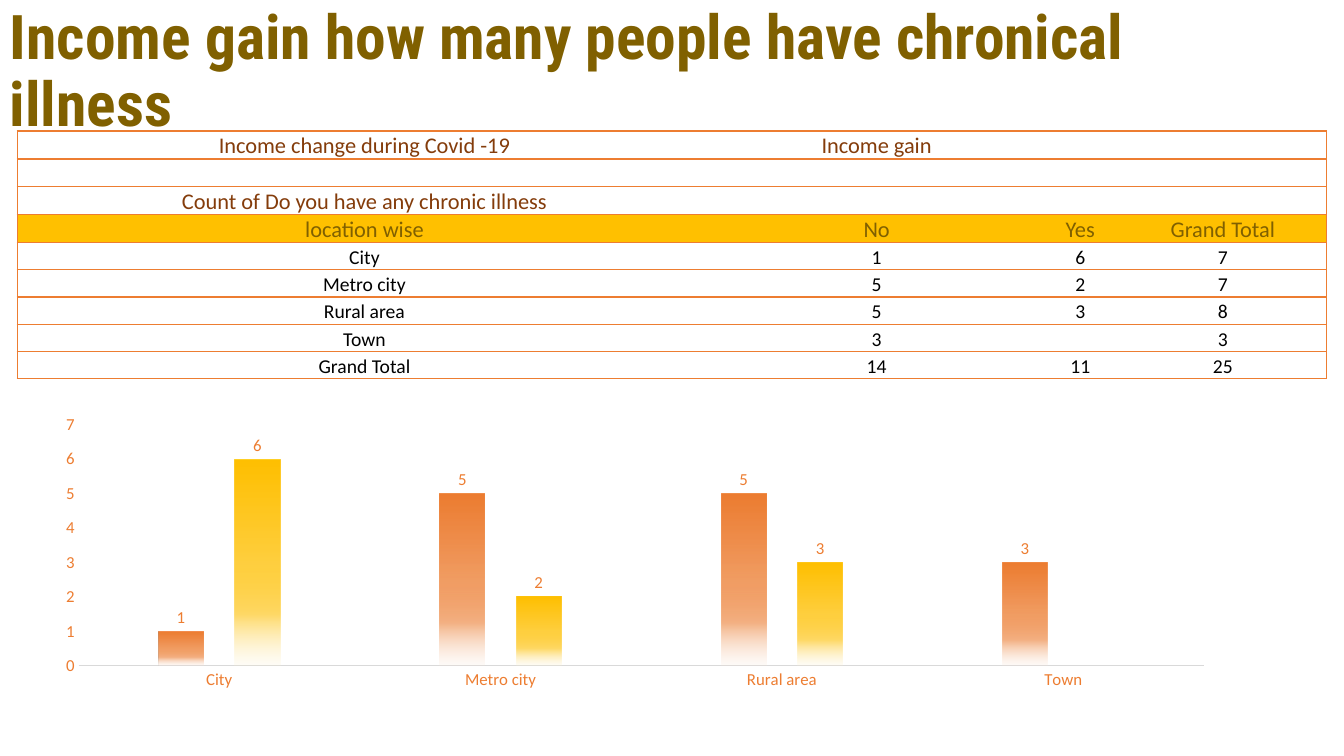
from dataclasses import dataclass
from typing import Optional

from lxml.etree import SubElement
from pptx import Presentation
from pptx.chart.data import CategoryChartData
from pptx.dml.color import RGBColor
from pptx.enum.chart import XL_CHART_TYPE as ChartType
from pptx.enum.chart import XL_LABEL_POSITION as LabelPosition
from pptx.enum.chart import XL_TICK_MARK as TickMark
from pptx.enum.text import MSO_ANCHOR as Anchor
from pptx.enum.text import PP_ALIGN as Align
from pptx.oxml import parse_xml
from pptx.oxml.ns import nsdecls, qn
from pptx.util import Emu, Pt

EMU_PER_PX = 9144  # 100 px to the inch
ORANGE, GOLD, WHITE = "ED7D31", "FFC000", "FFFFFF"
OLIVE, BROWN, BLACK, GREY = "806000", "843C0B", "000000", "D9D9D9"
CATEGORIES = ["City", "Metro city", "Rural area", "Town"]
COLUMN_WIDTHS = [689, 327, 77, 206]
ROW_HEIGHT = 27


@dataclass
class RowStyle:
    size: int
    color: str
    fill: str


@dataclass
class IllnessSeries:
    name: str
    values: list[Optional[int]]
    base: str
    light: str
    pale: str


HEADING = RowStyle(16, BROWN, WHITE)
LABELS = RowStyle(16, OLIVE, GOLD)
BODY = RowStyle(14, BLACK, WHITE)

TABLE_ROWS: list[tuple[RowStyle, list[str]]] = [
    (HEADING, ["Income change during Covid -19", "Income gain", "", ""]),
    (HEADING, ["", "", "", ""]),
    (HEADING, ["Count of Do you have any chronic illness", "", "", ""]),
    (LABELS, ["location wise", "No", "Yes", "Grand Total"]),
    (BODY, ["City", "1", "6", "7"]),
    (BODY, ["Metro city", "5", "2", "7"]),
    (BODY, ["Rural area", "5", "3", "8"]),
    (BODY, ["Town", "3", "", "3"]),
    (BODY, ["Grand Total", "14", "11", "25"]),
]
SERIES = [
    IllnessSeries("Series 1", [1, 5, 5, 3], ORANGE, "F4B183", "FBE5D6"),
    IllnessSeries("Series 2", [6, 2, 3, None], GOLD, "FFD966", "FFF2CC"),
]


def px(length: int) -> Emu:
    return Emu(length * EMU_PER_PX)


def rgb(color: str) -> RGBColor:
    return RGBColor.from_string(color)


def style_font(font, size: int, color: str, name: str = "Calibri", bold: bool = False) -> None:
    font.size, font.name, font.bold = Pt(size), name, bold
    font.color.rgb = rgb(color)


def write_text(frame, text: str, *, size: int, color: str, name: str = "Calibri",
               bold: bool = False, align=Align.LEFT, spacing: float = 1.0) -> None:
    paragraph = frame.paragraphs[0]
    paragraph.alignment, paragraph.line_spacing = align, spacing
    if text:
        run = paragraph.add_run()
        run.text = text
        style_font(run.font, size, color, name, bold)
    else:  # keeps an empty cell as low as its row
        SubElement(paragraph._p, qn("a:endParaRPr"), sz=str(size * 100))


def add_border(cell, side: str, color: Optional[str]) -> None:
    line = SubElement(cell._tc.get_or_add_tcPr(), qn(f"a:ln{side}"), w=str(Pt(1)))
    if color:
        fill = SubElement(line, qn("a:solidFill"))
        SubElement(fill, qn("a:srgbClr"), val=color)
    else:
        SubElement(line, qn("a:noFill"))


def add_title(slide) -> None:
    box = slide.shapes.add_textbox(0, 0, px(1150), px(145))
    frame = box.text_frame
    frame.word_wrap, frame.vertical_anchor = True, Anchor.MIDDLE
    write_text(frame, "Income gain how many people have chronical illness", size=44,
               color=OLIVE, name="Roboto Condensed", bold=True, spacing=0.9)


def add_illness_table(slide) -> None:
    last = len(COLUMN_WIDTHS) - 1
    table = slide.shapes.add_table(
        len(TABLE_ROWS), len(COLUMN_WIDTHS), px(17), px(130),
        px(sum(COLUMN_WIDTHS)), px(ROW_HEIGHT * len(TABLE_ROWS))).table
    table.first_row = table.horz_banding = False
    for column, width in zip(table.columns, COLUMN_WIDTHS):
        column.width = px(width)
    for row, (style, texts) in zip(table.rows, TABLE_ROWS):
        row.height = px(ROW_HEIGHT)
        for index, (cell, text) in enumerate(zip(row.cells, texts)):
            cell.margin_left = cell.margin_right = cell.margin_top = px(1)
            cell.margin_bottom = 0
            cell.vertical_anchor = Anchor.BOTTOM
            write_text(cell.text_frame, text, size=style.size, color=style.color,
                       align=Align.CENTER)
            # Horizontal rules everywhere, vertical ones on the outside only
            add_border(cell, "L", ORANGE if index == 0 else None)
            add_border(cell, "R", ORANGE if index == last else None)
            add_border(cell, "T", ORANGE)
            add_border(cell, "B", ORANGE)
            cell.fill.solid()
            cell.fill.fore_color.rgb = rgb(style.fill)


def fade_fill(entry: IllnessSeries):
    stops = [(0, entry.base, 100), (51, entry.base, 75),
             (75, entry.light, 100), (100, entry.pale, 15)]
    stop_xml = "".join(
        f'<a:gs pos="{position * 1000}"><a:srgbClr val="{color}">'
        f'<a:alpha val="{alpha * 1000}"/></a:srgbClr></a:gs>'
        for position, color, alpha in stops)
    return parse_xml(f'<a:gradFill {nsdecls("a")}><a:gsLst>{stop_xml}</a:gsLst>'
                     '<a:lin ang="5400000" scaled="0"/></a:gradFill>')


def place_plot(chart, x: float, y: float, width: float, height: float) -> None:
    plot_area = chart._chartSpace.chart.plotArea
    for layout in plot_area.findall(qn("c:layout")):
        plot_area.remove(layout)
    settings = [("layoutTarget", "inner"), ("xMode", "edge"), ("yMode", "edge"),
                ("x", x), ("y", y), ("w", width), ("h", height)]
    items = "".join(f'<c:{tag} val="{value}"/>' for tag, value in settings)
    plot_area.insert(0, parse_xml(
        f'<c:layout {nsdecls("c")}><c:manualLayout>{items}</c:manualLayout></c:layout>'))


def add_illness_chart(slide) -> None:
    data = CategoryChartData()
    data.categories = CATEGORIES
    for entry in SERIES:
        data.add_series(entry.name, entry.values)
    chart = slide.shapes.add_chart(ChartType.COLUMN_CLUSTERED, 0, px(375),
                                   px(1298), px(332), data).chart
    chart.has_title = chart.has_legend = False
    style_font(chart.font, 10, ORANGE)
    place_plot(chart, 0.06, 0.14, 0.86, 0.72)

    # Columns and their values
    plot = chart.plots[0]
    plot.gap_width, plot.overlap, plot.vary_by_categories = 355, -70, False
    for series, entry in zip(plot.series, SERIES):
        series.invert_if_negative = False
        series._element.get_or_add_spPr().insert(0, fade_fill(entry))
        labels = series.data_labels
        labels.show_value, labels.position = True, LabelPosition.OUTSIDE_END
        style_font(labels.font, 12, ORANGE)

    # Axes
    for axis in (chart.category_axis, chart.value_axis):
        axis.major_tick_mark = axis.minor_tick_mark = TickMark.NONE
        axis.has_major_gridlines = False
        style_font(axis.tick_labels.font, 12, ORANGE)
    base_line = chart.category_axis.format.line
    base_line.width = Pt(0.75)
    base_line.color.rgb = rgb(GREY)
    scale = chart.value_axis
    scale.minimum_scale, scale.maximum_scale, scale.major_unit = 0, 7, 1
    scale.format.line.fill.background()


def main() -> None:
    presentation = Presentation()
    presentation.slide_width, presentation.slide_height = px(1333), px(750)
    slide = presentation.slides.add_slide(presentation.slide_layouts[6])
    add_title(slide)
    add_illness_table(slide)
    add_illness_chart(slide)
    presentation.save("out.pptx")


if __name__ == "__main__":
    main()
